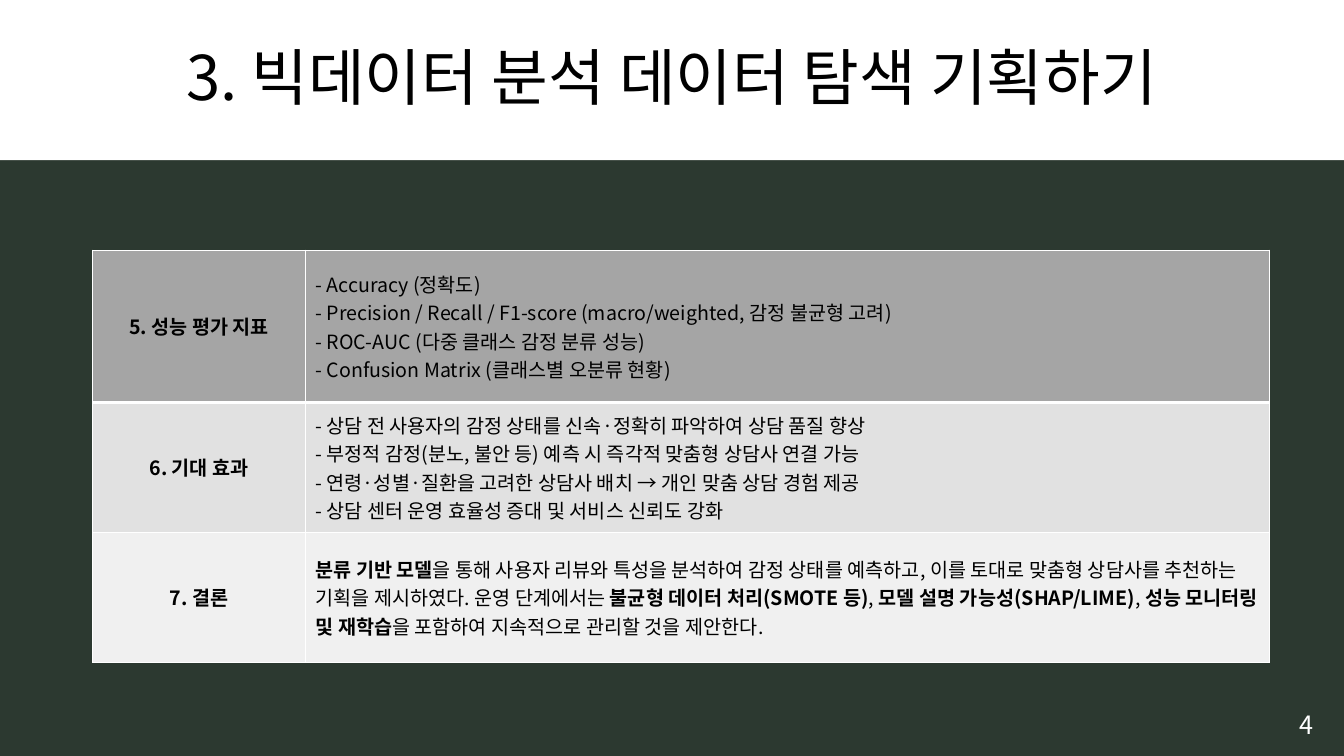
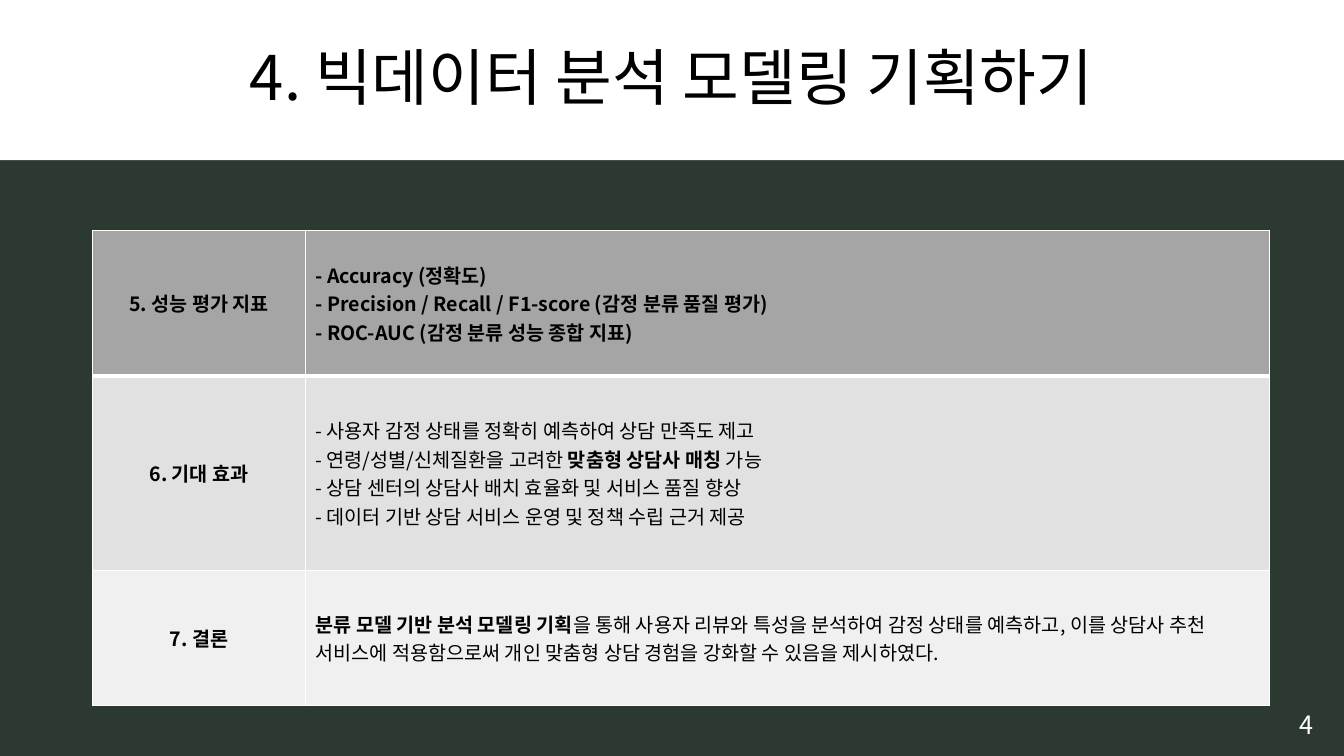
import dataclasses

import pptx
import pptx.dml.color
import pptx.enum.text
import pptx.oxml.ns
import pptx.util
from lxml import etree

ALIGN = pptx.enum.text.PP_ALIGN
MIDDLE = pptx.enum.text.MSO_ANCHOR.MIDDLE


@dataclasses.dataclass(frozen=True)
class Theme:
    font: str = "Noto Sans CJK KR"
    ground: str = "2C3930"
    light: str = "FFFFFF"
    dark: str = "000000"
    row_fills: tuple = ("A5A5A5", "E1E1E1", "F0F0F0")
    title_size: int = 44
    number_size: int = 18
    table_size: int = 14
    thin: int = 1
    thick: int = 3


THEME = Theme()
WIDTH, HEIGHT = pptx.util.Inches(13.33), pptx.util.Inches(7.5)
BOLD_MARK = "**"


# Lengths as percentages of the slide
def across(percent):
    return round(WIDTH * percent / 100)


def down(percent):
    return round(HEIGHT * percent / 100)


def region(left, top, width, height):
    return across(left), down(top), across(width), down(height)


TITLE_BOX = region(0, 0, 100, 21.2)
NUMBER_BOX = region(94.45, 93.2, 5.55, 5.33)
TABLE_LEFT, TABLE_WIDTH, LABEL_WIDTH = 6.9, 87.55, 15.83

# Per slide: title, table top, row heights, and (label, lines) for each row
SLIDES = [
    ("3. 빅데이터 분석 데이터 탐색 기획하기", 33.1, (20.13, 17.2, 17.2), [
        ("5. 성능 평가 지표", [
            "- Accuracy (정확도)",
            "- Precision / Recall / F1-score (macro/weighted, 감정 불균형 고려)",
            "- ROC-AUC (다중 클래스 감정 분류 성능)",
            "- Confusion Matrix (클래스별 오분류 현황)"]),
        ("6. 기대 효과", [
            "- 상담 전 사용자의 감정 상태를 신속·정확히 파악하여 상담 품질 향상",
            "- 부정적 감정(분노, 불안 등) 예측 시 즉각적 맞춤형 상담사 연결 가능",
            "- 연령·성별·질환을 고려한 상담사 배치 → 개인 맞춤 상담 경험 제공",
            "- 상담 센터 운영 효율성 증대 및 서비스 신뢰도 강화"]),
        ("7. 결론", [
            "**분류 기반 모델**을 통해 사용자 리뷰와 특성을 분석하여 감정 상태를 예측하고, "
            "이를 토대로 맞춤형 상담사를 추천하는 기획을 제시하였다. 운영 단계에서는 "
            "**불균형 데이터 처리(SMOTE 등)**, **모델 설명 가능성(SHAP/LIME)**, "
            "**성능 모니터링 및 재학습**을 포함하여 지속적으로 관리할 것을 제안한다."]),
    ]),
    ("4. 빅데이터 분석 모델링 기획하기", 30.5, (19.2, 25.73, 17.87), [
        ("5. 성능 평가 지표", [
            "**- Accuracy (정확도)**",
            "**- Precision / Recall / F1-score (감정 분류 품질 평가)**",
            "**- ROC-AUC (감정 분류 성능 종합 지표)**"]),
        ("6. 기대 효과", [
            "- 사용자 감정 상태를 정확히 예측하여 상담 만족도 제고",
            "- 연령/성별/신체질환을 고려한 **맞춤형 상담사 매칭** 가능",
            "- 상담 센터의 상담사 배치 효율화 및 서비스 품질 향상",
            "- 데이터 기반 상담 서비스 운영 및 정책 수립 근거 제공"]),
        ("7. 결론", [
            "**분류 모델 기반 분석 모델링 기획**을 통해 사용자 리뷰와 특성을 분석하여 감정 상태를 "
            "예측하고, 이를 상담사 추천 서비스에 적용함으로써 개인 맞춤형 상담 경험을 강화할 수 "
            "있음을 제시하였다."]),
    ]),
]


def color(value):
    return pptx.dml.color.RGBColor.from_string(value)


def paint(fill, value):
    fill.solid()
    fill.fore_color.rgb = color(value)


def style_span(span, size, ink, bold=False):
    span.font.size = pptx.util.Pt(size)
    span.font.bold = bold
    span.font.color.rgb = color(ink)
    span.font.name = THEME.font
    east_asian = etree.SubElement(span.font._element, pptx.oxml.ns.qn("a:ea"))
    east_asian.set("typeface", THEME.font)


def write_lines(frame, lines, size, ink, align):
    """One paragraph per line; text between bold marks becomes bold."""
    for index, line in enumerate(lines):
        para = frame.paragraphs[0] if index == 0 else frame.add_paragraph()
        para.alignment = align
        for part, text in enumerate(line.split(BOLD_MARK)):
            if text:
                span = para.add_run()
                span.text = text
                style_span(span, size, ink, bold=part % 2 == 1)


def set_borders(cell, top, bottom):
    properties = cell._tc.get_or_add_tcPr()
    widths = {"lnL": THEME.thin, "lnR": THEME.thin, "lnT": top, "lnB": bottom}
    for side, points in widths.items():
        line = etree.SubElement(properties, pptx.oxml.ns.qn("a:" + side))
        line.set("w", str(pptx.util.Pt(points)))
        fill = etree.SubElement(line, pptx.oxml.ns.qn("a:solidFill"))
        etree.SubElement(fill, pptx.oxml.ns.qn("a:srgbClr")).set("val", THEME.light)


# White title band
def add_title(page, text, box):
    title = page.shapes.title
    title.left, title.top, title.width, title.height = box
    paint(title.fill, THEME.light)
    frame = title.text_frame
    frame.auto_size = pptx.enum.text.MSO_AUTO_SIZE.NONE
    frame.vertical_anchor = MIDDLE
    write_lines(frame, [text], THEME.title_size, THEME.dark, ALIGN.CENTER)
    frame.paragraphs[0].line_spacing = 0.9


# Page number in the lower right corner
def add_number(page, text, box):
    frame = page.shapes.add_textbox(*box).text_frame
    frame.word_wrap = True
    write_lines(frame, [text], THEME.number_size, THEME.light, ALIGN.CENTER)


# Table of labels and their descriptions
def add_plan_table(page, rows, heights, box):
    table = page.shapes.add_table(len(rows), 2, *box).table
    table.first_row = table.horz_banding = False
    table.columns[0].width = across(LABEL_WIDTH)
    table.columns[1].width = box[2] - across(LABEL_WIDTH)
    for index, (label, lines) in enumerate(rows):
        table.rows[index].height = down(heights[index])
        top = THEME.thick if index == 1 else THEME.thin
        bottom = THEME.thick if index == 0 else THEME.thin
        contents = (([BOLD_MARK + label + BOLD_MARK], ALIGN.CENTER), (lines, ALIGN.LEFT))
        for column, (content, align) in enumerate(contents):
            cell = table.cell(index, column)
            set_borders(cell, top, bottom)
            paint(cell.fill, THEME.row_fills[index])
            cell.vertical_anchor = MIDDLE
            write_lines(cell.text_frame, content, THEME.table_size, THEME.dark, align)


def add_plan_slide(deck, title, table_top, heights, rows):
    page = deck.slides.add_slide(deck.slide_layouts.get_by_name("Title Only"))
    add_title(page, title, TITLE_BOX)
    add_number(page, "4", NUMBER_BOX)
    add_plan_table(page, rows, heights,
                   region(TABLE_LEFT, table_top, TABLE_WIDTH, sum(heights)))


def main():
    deck = pptx.Presentation()
    deck.slide_width, deck.slide_height = WIDTH, HEIGHT
    paint(deck.slide_master.background.fill, THEME.ground)
    for content in SLIDES:
        add_plan_slide(deck, *content)
    deck.save("out.pptx")


if __name__ == "__main__":
    main()
